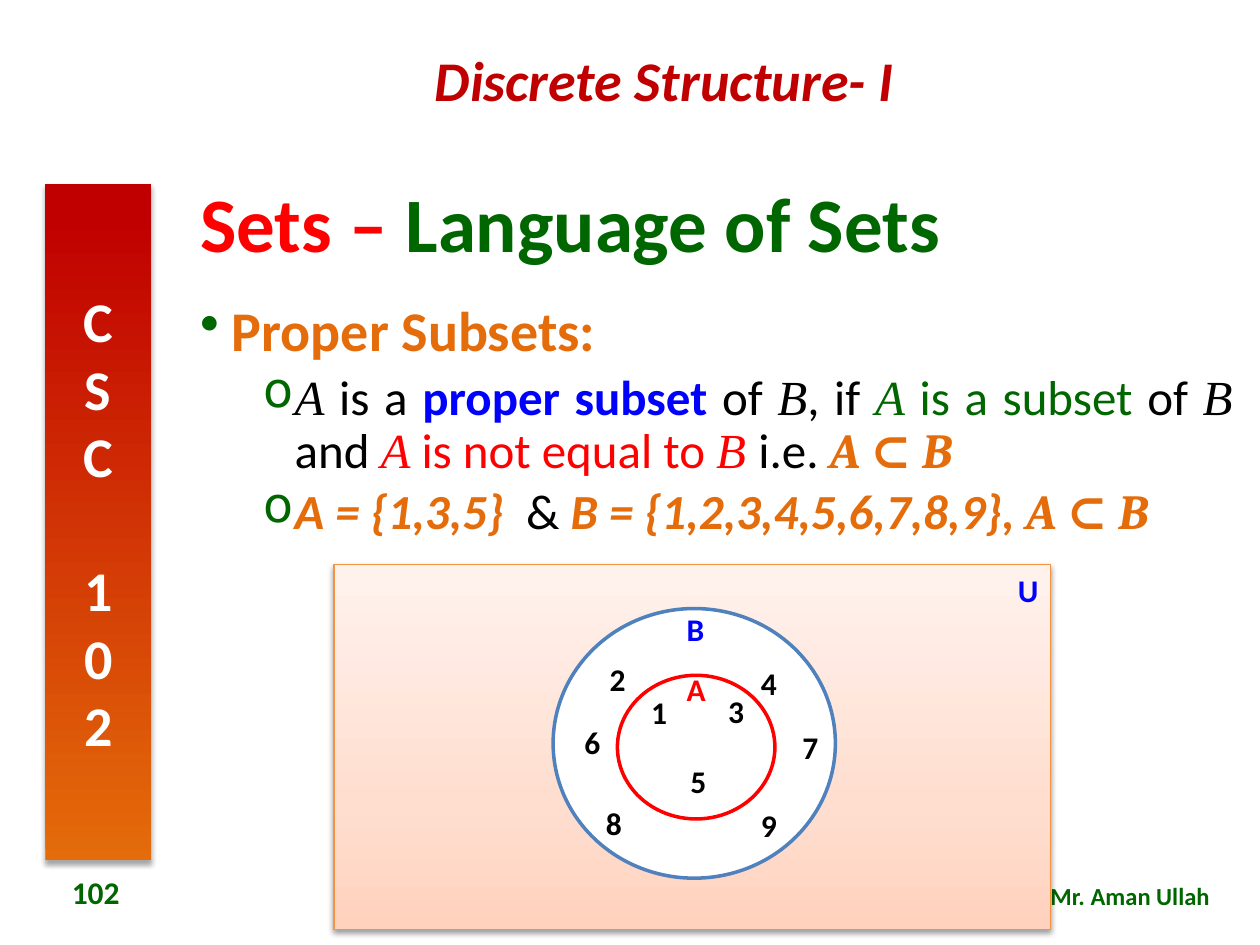
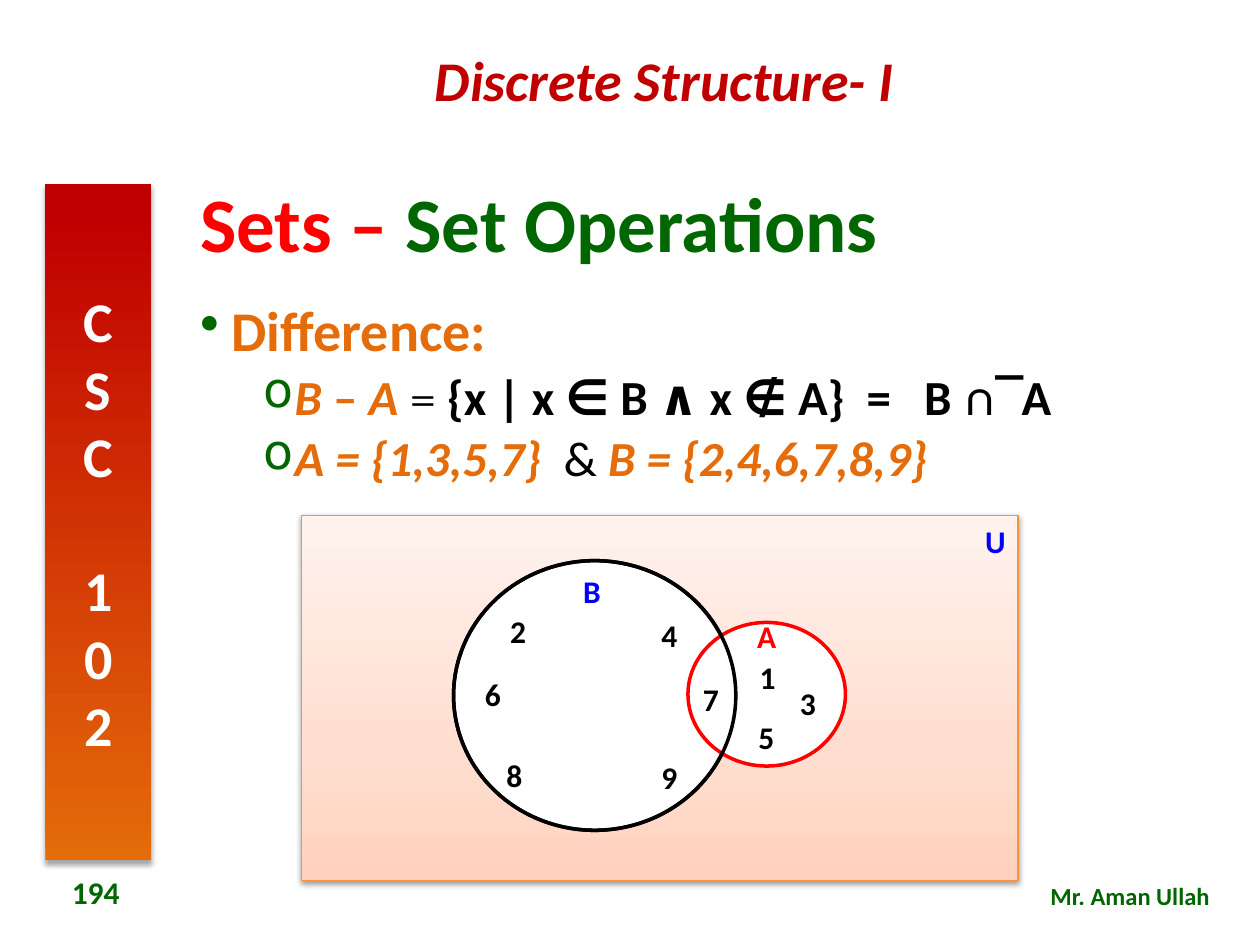
from copy import deepcopy
from dataclasses import dataclass

from lxml.etree import SubElement
from pptx import Presentation
from pptx.dml.color import RGBColor as RGB
from pptx.enum.shapes import MSO_SHAPE as SHAPE
from pptx.enum.text import MSO_ANCHOR as ANCHOR, PP_ALIGN as ALIGN
from pptx.oxml.ns import qn
from pptx.util import Inches, Pt


@dataclass(frozen=True)
class Theme:
    font: str = "Calibri"
    math_font: str = "Cambria"
    symbol_font: str = "Times New Roman"
    black: str = "000000"
    white: str = "FFFFFF"
    red: str = "FF0000"
    dark_red: str = "C00000"
    orange: str = "E46C0A"
    green: str = "006600"
    blue: str = "0000FF"
    steel: str = "4F81BD"
    panel_line: str = "F69240"
    sidebar_stops: tuple = ((0, "E46C0A"), (0.95, "C00000"))
    panel_stops: tuple = ((0, "FFD2BD"), (0.35, "FFDED0"), (1, "FFF2ED"))
    title: int = 44
    heading: int = 32
    body: int = 28
    label: int = 18
    footer: int = 14


T = Theme()

LABEL_SIZE = (0.32, 0.4)
B_SIZE = (2.24, 2.14)
A_SIZE = (1.25, 1.14)
# Offsets of the members of B from the corner of its circle
B_MEMBERS = {"2": (0.35, 0.36), "4": (1.55, 0.39), "6": (0.15, 0.86),
             "7": (1.88, 0.9), "8": (0.32, 1.5), "9": (1.55, 1.52)}


def add_run(p, text, size, color, style="b", font=T.font):
    """Add one run; style holds b for bold and i for italic."""
    r = p.add_run()
    r.text = text
    f = r.font
    f.name, f.size, f.color.rgb = font, Pt(size), RGB.from_string(color)
    f.bold, f.italic = "b" in style, "i" in style


def add_box(s, box, anchor=ANCHOR.TOP):
    tf = s.shapes.add_textbox(*map(Inches, box)).text_frame
    tf.word_wrap = True
    tf.vertical_anchor = anchor
    return tf


def add_line(s, box, text, size, color, style="b", align=ALIGN.LEFT, anchor=ANCHOR.TOP):
    p = add_box(s, box, anchor).paragraphs[0]
    p.alignment = align
    add_run(p, text, size, color, style)


def add_gradient(sp, stops):
    """Fill from the bottom edge upwards."""
    sp.fill.gradient()
    sp.fill.gradient_angle = 90
    gs_list = sp._element.spPr.find(".//" + qn("a:gsLst"))
    for _ in stops[2:]:
        gs_list.append(deepcopy(gs_list[0]))
    for stop, (position, color) in zip(sp.fill.gradient_stops, stops):
        stop.position = position
        stop.color.rgb = RGB.from_string(color)


def add_shadow(sp, distance, opacity):
    sp.shadow.inherit = False
    effects = sp._element.spPr.find(qn("a:effectLst"))
    shadow = SubElement(effects, qn("a:outerShdw"), blurRad=str(Pt(3.1)),
                        dist=str(Pt(distance)), dir="5400000", rotWithShape="0")
    color = SubElement(shadow, qn("a:srgbClr"), val=T.black)
    SubElement(color, qn("a:alpha"), val=str(opacity * 1000))


def add_sidebar(s, box, text):
    sp = s.shapes.add_shape(SHAPE.RECTANGLE, *map(Inches, box))
    add_gradient(sp, T.sidebar_stops)
    sp.line.fill.background()
    add_shadow(sp, 1.8, 35)
    tf = sp.text_frame
    tf.word_wrap = True
    tf._txBody.bodyPr.set("vert", "wordArtVert")
    tf.vertical_anchor = ANCHOR.MIDDLE
    tf.paragraphs[0].alignment = ALIGN.CENTER
    add_run(tf.paragraphs[0], text, T.heading, T.white)


def add_frame(s, number, topic):
    """Course name, sidebar, footers and title."""
    add_line(s, (2.11, 0.31, 6.33, 0.64), "Discrete Structure- I", T.heading,
             T.dark_red, "bi", ALIGN.CENTER)
    add_sidebar(s, (0.36, 1.46, 0.84, 5.37), "CSC 102")
    add_line(s, (6.8, 6.94, 2.9, 0.34), "Mr. Aman Ullah", T.footer, T.green,
             align=ALIGN.RIGHT)
    add_line(s, (0.24, 6.88, 1.04, 0.4), number, T.label, T.green,
             align=ALIGN.CENTER, anchor=ANCHOR.MIDDLE)
    p = add_box(s, (1.49, 1.36, 8.39, 0.89), ANCHOR.MIDDLE).paragraphs[0]
    p.line_spacing = 0.9
    add_run(p, "Sets – ", T.title, T.red)
    add_run(p, topic, T.title, T.green)


def format_bullet(p, char, margin, space_before):
    p.alignment = ALIGN.JUSTIFY
    p.line_spacing = 0.9
    p.space_before = Pt(space_before)
    pPr = p._p.get_or_add_pPr()
    pPr.set("marL", str(Inches(margin)))
    pPr.set("indent", str(Inches(-0.25)))
    color = SubElement(pPr, qn("a:buClr"))
    SubElement(color, qn("a:srgbClr"), val=T.green)
    SubElement(pPr, qn("a:buChar"), char=char)


def add_body(s, box, heading, points):
    tf = add_box(s, box)
    p = tf.paragraphs[0]
    format_bullet(p, "•", 0.25, 0)
    add_run(p, heading, T.heading, T.orange)
    for runs in points:
        p = tf.add_paragraph()
        p.level = 1
        format_bullet(p, "o", 0.75, 5)
        for text, *look in runs:
            add_run(p, text, T.body, *look)


def add_circle(s, at, size, color, filled=True):
    sp = s.shapes.add_shape(SHAPE.OVAL, *map(Inches, at + size))
    sp.shadow.inherit = False
    if filled:
        sp.fill.solid()
        sp.fill.fore_color.rgb = RGB.from_string(T.white)
    else:
        sp.fill.background()
    sp.line.color.rgb = RGB.from_string(color)
    sp.line.width = Pt(2)


def add_labels(s, corner, offsets, color=T.black):
    for text, offset in offsets.items():
        add_line(s, shift(corner, offset) + LABEL_SIZE, text, T.label, color)


def shift(corner, offset):
    return corner[0] + offset[0], corner[1] + offset[1]


def add_universe(s, box):
    sp = s.shapes.add_shape(SHAPE.RECTANGLE, *map(Inches, box))
    add_gradient(sp, T.panel_stops)
    sp.line.color.rgb = RGB.from_string(T.panel_line)
    sp.line.width = Pt(0.75)
    add_shadow(sp, 1.6, 38)
    tf = sp.text_frame
    tf.vertical_anchor = ANCHOR.TOP
    tf.paragraphs[0].alignment = ALIGN.RIGHT
    add_run(tf.paragraphs[0], "U", T.label, T.blue)


def add_venn(s, box, b_offset, a_offset, b_label, a_members, b_color, overlap=False):
    """Draw B inside the universe, and A placed from the corner of B."""
    add_universe(s, box)
    b_corner = shift(box, b_offset)
    a_corner = shift(b_corner, a_offset)
    add_circle(s, b_corner, B_SIZE, b_color)
    add_circle(s, a_corner, A_SIZE, T.red)
    add_labels(s, b_corner, {"B": b_label}, T.blue)
    add_labels(s, a_corner, {"A": (0.45, -0.09)}, T.red)
    add_labels(s, b_corner, B_MEMBERS)
    add_labels(s, a_corner, a_members)
    if overlap:
        add_circle(s, b_corner, B_SIZE, b_color, filled=False)


def build_proper_subsets(s):
    add_frame(s, "102", "Language of Sets")
    symbol = ("i", T.symbol_font)
    formula = ("A ⊂ B ", T.orange, "bi", T.math_font)
    add_body(s, (1.49, 2.36, 8.39, 4.4), "Proper Subsets:", [
        [("A", T.black, *symbol), (" is a ", T.black, ""),
         ("proper subset ", T.blue), ("of ", T.black, ""),
         ("B", T.black, *symbol), (", if ", T.black, ""),
         ("A", T.green, *symbol), (" is a subset ", T.green, ""),
         ("of ", T.black, ""), ("B", T.black, *symbol), (" and ", T.black, ""),
         ("A", T.red, *symbol), (" is not equal to ", T.red, ""),
         ("B ", T.red, *symbol), ("i.e. ", T.black, ""), formula],
        [("A = {1,3,5}  ", T.orange, "bi"), ("&", T.black, ""),
         (" B = {1,2,3,4,5,6,7,8,9}, ", T.orange, "bi"), formula],
    ])
    add_venn(s, (2.65, 4.48, 5.69, 2.9), (1.74, 0.35), (0.51, 0.53), (0.96, -0.04),
             {"1": (0.17, 0.09), "3": (0.78, 0.08), "5": (0.48, 0.64)}, T.steel)


def build_difference(s):
    add_frame(s, "194", "Set Operations")
    add_body(s, (1.49, 2.36, 8.39, 4.4), "Difference:", [
        [("B", T.orange, "bi"), (" – ", T.orange), ("A ", T.orange, "bi"),
         ("= ", T.black, "", T.math_font),
         ("{x | x ∈ B ∧ x ∉ A}  =   B ∩‾A", T.black)],
        [("A = {1,3,5,7}  ", T.orange, "bi"), ("&", T.black, ""),
         (" B = {2,4,6,7,8,9} ", T.orange, "bi")],
    ])
    add_venn(s, (2.39, 4.09, 5.69, 2.9), (1.21, 0.36), (1.86, 0.49), (0.93, 0.04),
             {"1": (0.47, 0.23), "3": (0.79, 0.44), "5": (0.46, 0.71)}, T.black,
             overlap=True)


def main():
    prs = Presentation()
    prs.slide_width, prs.slide_height = Inches(10), Inches(7.5)
    for build in (build_proper_subsets, build_difference):
        build(prs.slides.add_slide(prs.slide_layouts[6]))
    prs.save("out.pptx")


if __name__ == "__main__":
    main()
